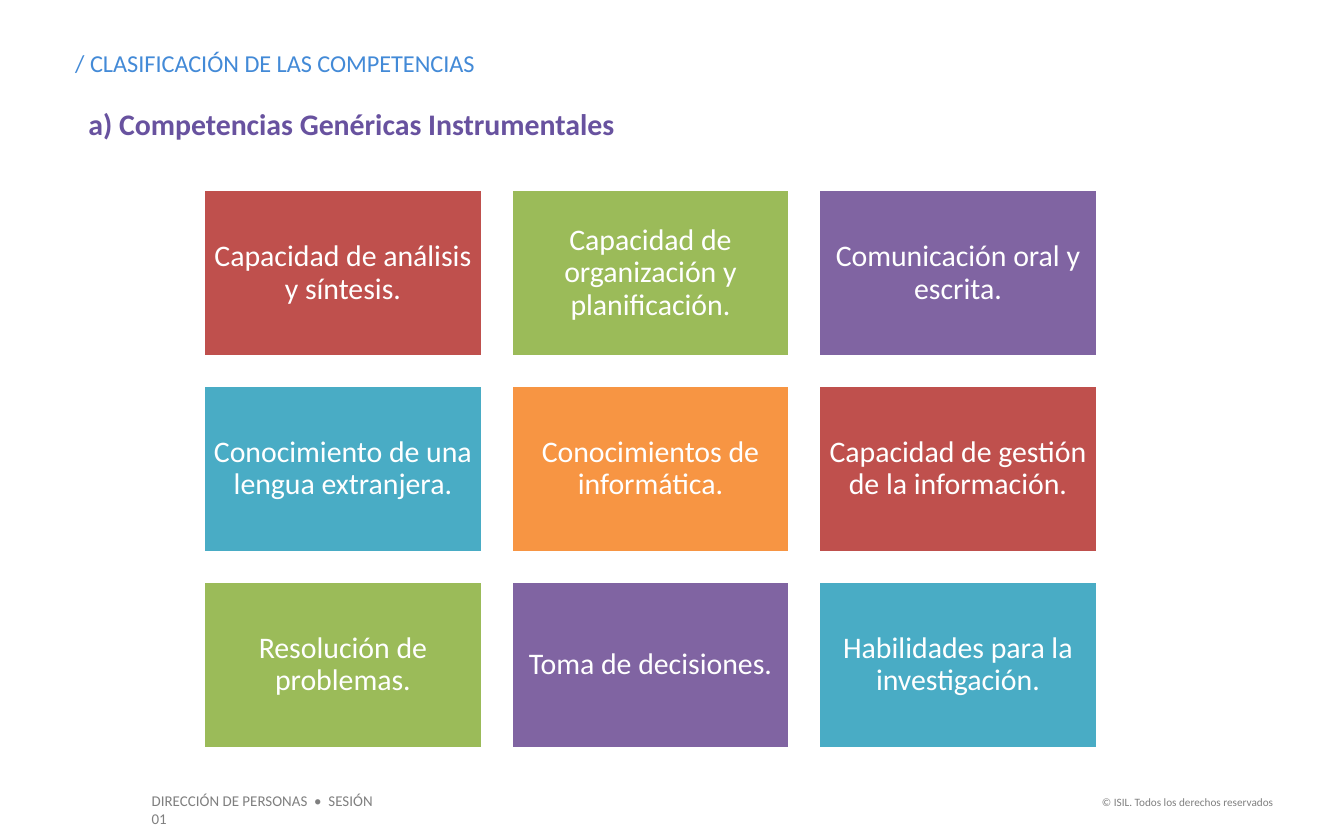
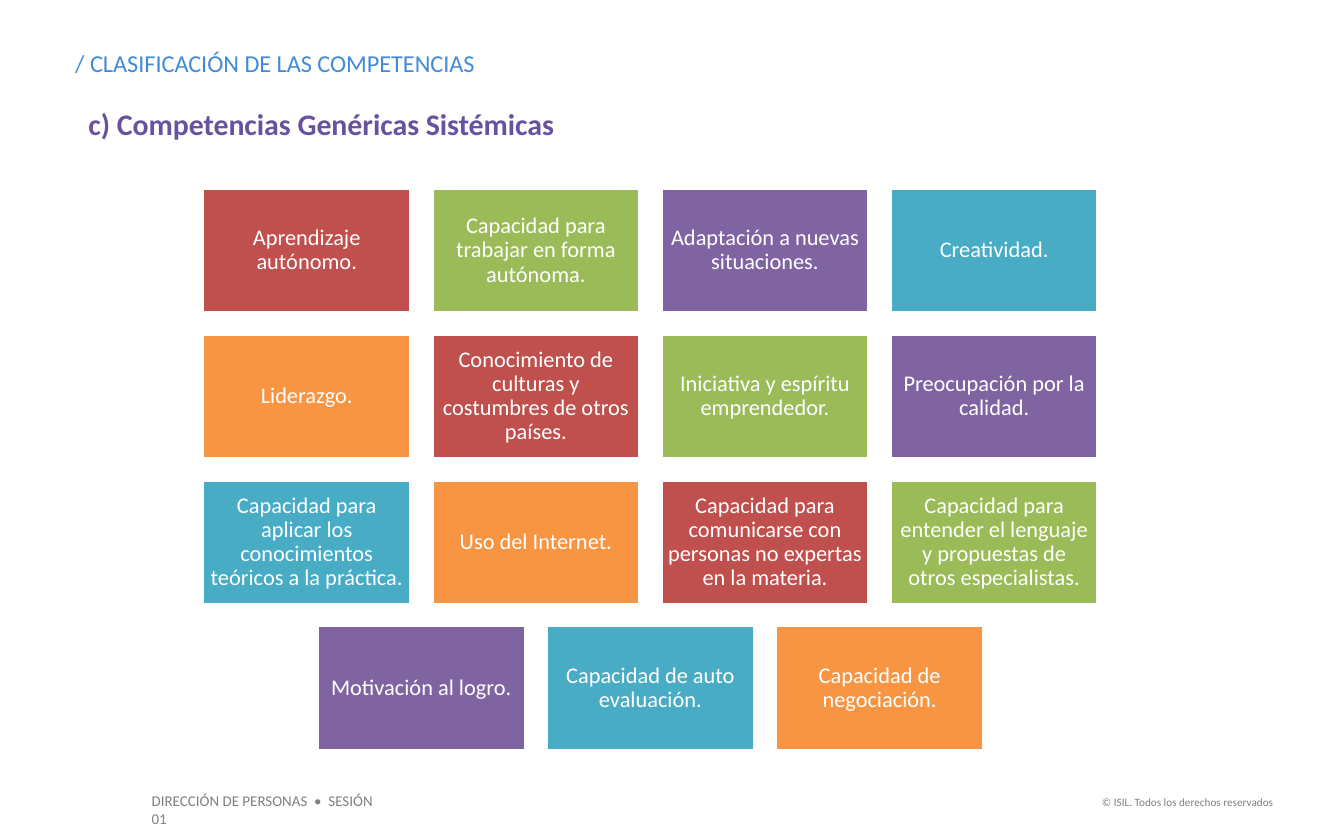
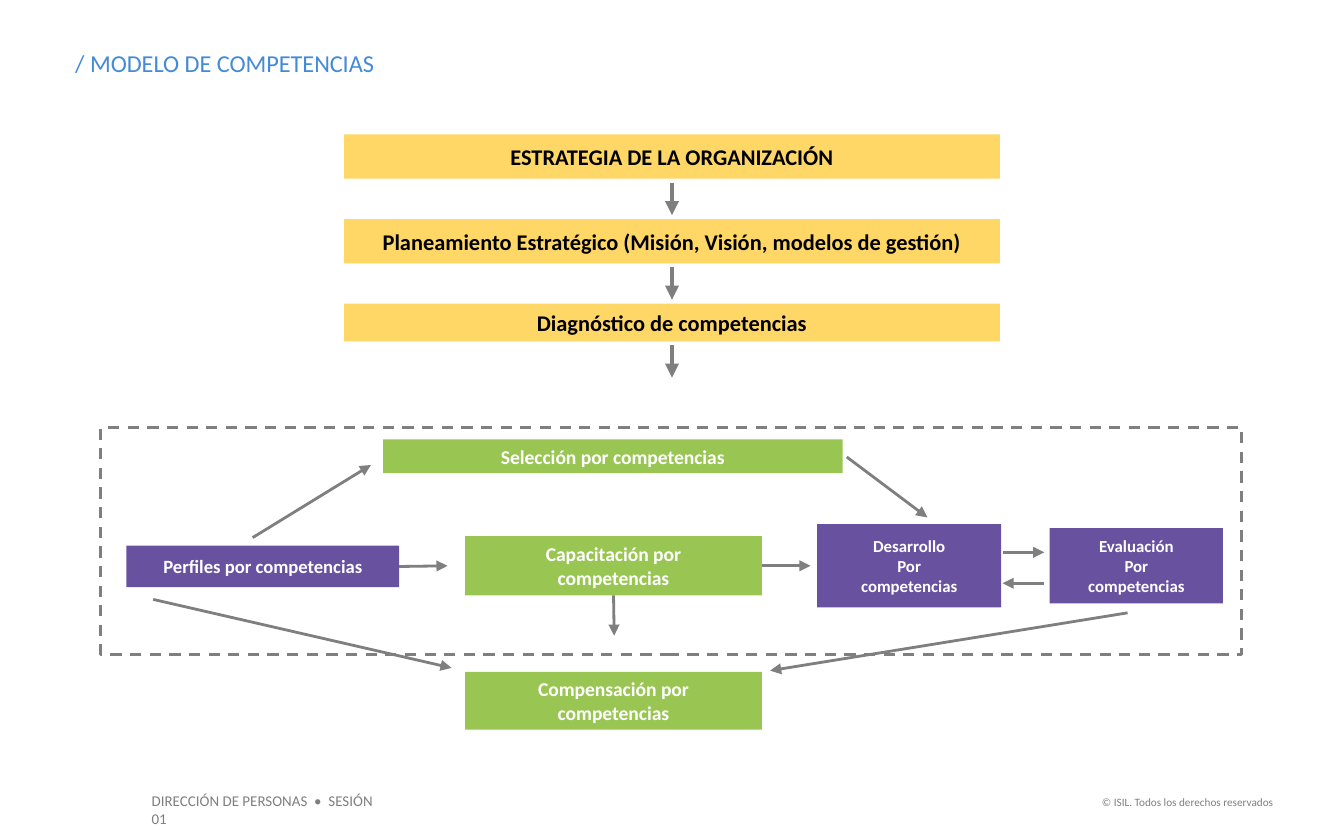
"""Build three slides on competency classes and the competency model."""
from itertools import cycle
from lxml import etree
from pptx import Presentation, util as u
from pptx.dml.color import RGBColor
from pptx.enum import dml, shapes, text
from pptx.oxml import ns

SCALE = 9144
FONT = "Calibri"
WHITE, BLACK, GREY = "FFFFFF", "000000", "7F7F7F"
BLUE, PURPLE, GREEN, GOLD = "438AD7", "68529F", "99C652", "FFD767"
TILES = ["BF504D", "9BBB59", "8064A2", "49ACC5", "F79543"]
MID = 484
LEFT, CENTER, RIGHT = text.PP_ALIGN.LEFT, text.PP_ALIGN.CENTER, text.PP_ALIGN.RIGHT


def px(*nums):
    return [u.Emu(round(n * SCALE)) for n in nums]


def hue(code):
    return RGBColor.from_string(code)


class Deck:
    def __init__(self):
        self.prs = Presentation()
        self.prs.slide_width, self.prs.slide_height = px(1000, 625)
        self.slide = None

    def page(self, title):
        self.slide = self.prs.slides.add_slide(self.prs.slide_layouts[5])
        head = self.slide.shapes.title
        head.left, head.top, head.width, head.height = px(56, 36, 428, 22)
        self.style(head, title, 13, BLUE, align=LEFT, pad=(0, 0))
        self.fit(head)
        self.label("DIRECCIÓN DE PERSONAS  •  SESIÓN 01", (103, 584, 198, 24), 8, GREY)
        self.label("© ISIL. Todos los derechos reservados", (805, 587, 152, 20), 6, GREY,
                   align=RIGHT)

    def style(self, shape, words, size, color, bold=False, align=CENTER, pad=(10, 5), lead=None):
        frame = shape.text_frame
        frame.text = words
        frame.word_wrap = True
        frame.margin_left, frame.margin_top = px(*pad)
        frame.margin_right, frame.margin_bottom = px(*pad)
        for para in frame.paragraphs:
            para.alignment = align
            if lead:
                para.line_spacing = lead
            font = para.font
            font.name, font.size, font.bold = FONT, u.Pt(size), bold
            font.color.rgb = hue(color)

    def fit(self, shape):
        frame = shape.text_frame
        frame.vertical_anchor = text.MSO_ANCHOR.TOP
        frame.auto_size = text.MSO_AUTO_SIZE.SHAPE_TO_FIT_TEXT

    def label(self, words, area, size, color, bold=False, align=LEFT):
        shape = self.slide.shapes.add_textbox(*px(*area))
        self.style(shape, words, size, color, bold, align)
        self.fit(shape)

    def rect(self, area, fill=None, line=None, width=0):
        shape = self.slide.shapes.add_shape(shapes.MSO_SHAPE.RECTANGLE, *px(*area))
        shape.shadow.inherit = False
        if fill:
            shape.fill.solid()
            shape.fill.fore_color.rgb = hue(fill)
        else:
            shape.fill.background()
        if line:
            shape.line.color.rgb = hue(line)
            shape.line.width = u.Pt(width)
        else:
            shape.line.fill.background()
        return shape

    def box(self, words, area, fill, size, color=WHITE):
        shape = self.rect(area, fill)
        self.style(shape, words, size, color, bold=True)
        shape.text_frame.vertical_anchor = text.MSO_ANCHOR.MIDDLE
        return shape

    def frame(self, area):
        self.rect(area, line=GREY, width=1.5).line.dash_style = dml.MSO_LINE.DASH

    def grid(self, rows, top, wide, size, pad):
        tall, gap = wide * 0.6, wide * 0.1
        fills = cycle(TILES)
        for i, row in enumerate(rows):
            left = MID - (len(row) * (wide + gap) - gap) / 2
            for j, words in enumerate(row):
                area = (left + j * (wide + gap), top + i * (tall + gap), wide, tall)
                tile = self.rect(area, next(fills), WHITE, 2)
                self.style(tile, words, size, WHITE, pad=(pad, pad), lead=0.9)
                tile.text_frame.vertical_anchor = text.MSO_ANCHOR.MIDDLE

    def arrow(self, start, end, width=1.5, source=None, side=0):
        link = self.slide.shapes.add_connector(
            shapes.MSO_CONNECTOR.STRAIGHT, *px(*start, *end))
        if source is not None:
            link.begin_connect(source, side)
        link.line.color.rgb = hue(GREY)
        link.line.width = u.Pt(width)
        props = link._element.spPr
        etree.SubElement(props.find(ns.qn("a:ln")), ns.qn("a:tailEnd"), type="triangle")
        etree.SubElement(props, ns.qn("a:effectLst"))


def skills(deck, topic, rows, **look):
    deck.page("/ CLASIFICACIÓN DE LAS COMPETENCIAS")
    deck.label(topic, (56, 74, 888, 37), 16, PURPLE, bold=True)
    deck.grid(rows, **look)


def model(deck):
    deck.page("/ MODELO DE COMPETENCIAS")
    steps = [("ESTRATEGIA DE LA ORGANIZACIÓN", 100, 33),
             ("Planeamiento Estratégico (Misión, Visión, modelos de gestión)", 163, 33),
             ("Diagnóstico de competencias", 226, 28)]
    for words, top, tall in steps:
        deck.box(words, (256, top, 488, tall), GOLD, 12, BLACK)
        foot = top + tall + 3
        deck.arrow((500, foot), (500, foot + 24), 2.5)

    deck.box("Selección por competencias", (285, 327, 342, 25), GREEN, 10.5)
    train = deck.box("Capacitación por\ncompetencias", (346, 399, 221, 44), GREEN, 10.5)
    deck.box("Compensación por\ncompetencias", (346, 500, 221, 43), GREEN, 10.5)
    role = deck.box("Perfiles por competencias", (94, 406, 203, 31), PURPLE, 10)
    deck.box("Desarrollo\nPor\ncompetencias", (608, 390, 137, 62), PURPLE, 9)
    deck.box("Evaluación\nPor\ncompetencias", (781, 393, 129, 56), PURPLE, 9)
    deck.frame((75, 318, 849, 169))

    deck.arrow((457, 443), (457, 473), source=train, side=2)
    deck.arrow((297, 421), (333, 421), source=role, side=3)
    deck.arrow((567, 421), (603, 421), source=train, side=3)
    for start, end in [((746, 411), (777, 411)), ((777, 434), (746, 434)),
                       ((188, 400), (276, 346)), ((114, 446), (336, 497)),
                       ((839, 456), (573, 499)), ((630, 340), (690, 385))]:
        deck.arrow(start, end)


def main():
    deck = Deck()
    skills(deck, "a) Competencias Genéricas Instrumentales", [
        ["Capacidad de análisis y síntesis.", "Capacidad de organización y planificación.",
         "Comunicación oral y escrita."],
        ["Conocimiento de una lengua extranjera.", "Conocimientos de informática.",
         "Capacidad de gestión de la información."],
        ["Resolución de problemas.", "Toma de decisiones.",
         "Habilidades para la investigación."],
    ], top=141, wide=208, size=16, pad=7)
    skills(deck, "c) Competencias Genéricas Sistémicas", [
        ["Aprendizaje autónomo.", "Capacidad para trabajar en forma autónoma.",
         "Adaptación a nuevas situaciones.", "Creatividad."],
        ["Liderazgo.", "Conocimiento de culturas y costumbres de otros países.",
         "Iniciativa y espíritu emprendedor.", "Preocupación por la calidad."],
        ["Capacidad para aplicar los conocimientos teóricos a la práctica.",
         "Uso del Internet.",
         "Capacidad para comunicarse con personas no expertas en la materia.",
         "Capacidad para entender el lenguaje y propuestas de otros especialistas."],
        ["Motivación al logro.", "Capacidad de auto evaluación.",
         "Capacidad de negociación."],
    ], top=140, wide=155, size=12, pad=5)
    model(deck)
    deck.prs.save("out.pptx")


if __name__ == "__main__":
    main()
